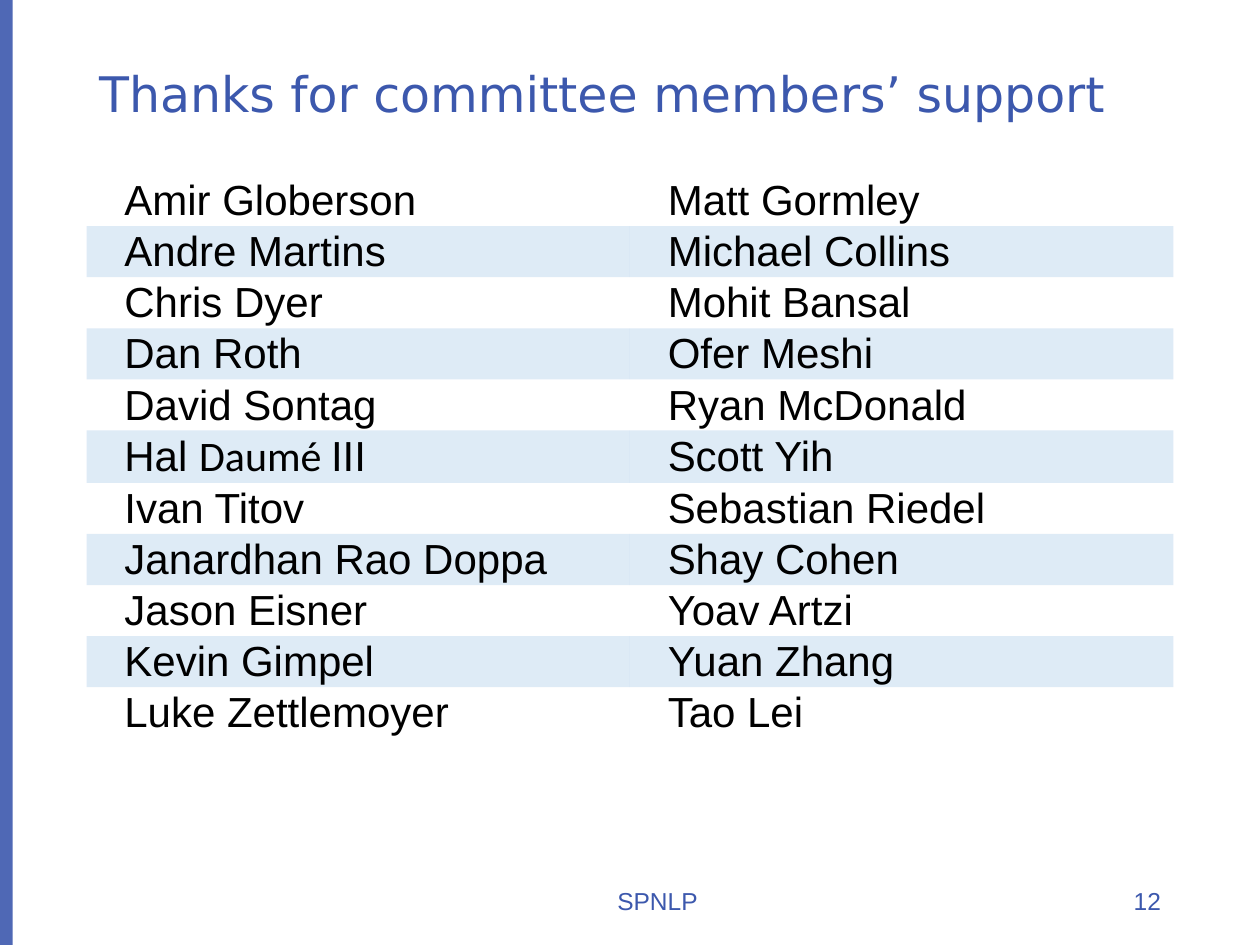
from lxml.etree import SubElement
from pptx import Presentation
from pptx.dml.color import RGBColor
from pptx.enum.shapes import MSO_SHAPE
from pptx.enum.text import MSO_ANCHOR, MSO_AUTO_SIZE, PP_ALIGN
from pptx.oxml.ns import qn
from pptx.util import Pt

NO_STYLE = "{2D5ABB26-0587-4C30-8999-92F81FD0307C}"
MEMBERS = [
    ("Amir Globerson", "Matt Gormley"),
    ("Andre Martins", "Michael Collins"),
    ("Chris Dyer", "Mohit Bansal"),
    ("Dan Roth", "Ofer Meshi"),
    ("David Sontag", "Ryan McDonald"),
    ([("Hal ", "Arial"), ("Daumé ", "Calibri"), ("III", "Arial")], "Scott Yih"),
    ("Ivan Titov", "Sebastian Riedel"),
    ("Janardhan Rao Doppa", "Shay Cohen"),
    ("Jason Eisner", "Yoav Artzi"),
    ("Kevin Gimpel", "Yuan Zhang"),
    ("Luke Zettlemoyer", "Tao Lei"),
]


def rgb(color):
    return RGBColor.from_string(color)


def apply(obj, values):
    for name, value in values.items():
        setattr(obj, name, value)


class Deck:
    blue = "3C58AD"
    band = "5B9BD5"
    black = "000000"
    font = "Arial"

    def __init__(self):
        self.prs = Presentation()
        apply(self.prs, {"slide_width": Pt(720), "slide_height": Pt(540)})
        self.s = self.prs.slides.add_slide(self.prs.slide_layouts[5])

    def place(self, sp, x, y, w, h):
        apply(sp, {"left": Pt(x), "top": Pt(y), "width": Pt(w), "height": Pt(h)})

    def run(self, p, text, size, color, font=None):
        r = p.add_run()
        r.text = text
        apply(r.font, {"name": font or self.font, "size": Pt(size)})
        r.font.color.rgb = rgb(color)

    def fill(self, target, color, opacity):
        target.fill.solid()
        target.fill.fore_color.rgb = rgb(color)
        clr = target.fill._xPr.find(".//" + qn("a:srgbClr"))
        SubElement(clr, qn("a:alpha"), val=str(opacity * 1000))

    def bar(self, x, y, w, h):
        sp = self.s.shapes.add_shape(MSO_SHAPE.RECTANGLE, Pt(x), Pt(y), Pt(w), Pt(h))
        sp.shadow.inherit = False
        sp.line.fill.background()
        self.fill(sp, self.blue, 90)

    def title(self, text, *box):
        sp = self.s.shapes.title
        self.place(sp, *box)
        tf = sp.text_frame
        apply(tf, {"vertical_anchor": MSO_ANCHOR.MIDDLE, "word_wrap": True,
                   "auto_size": MSO_AUTO_SIZE.NONE})
        p = tf.paragraphs[0]
        apply(p, {"alignment": PP_ALIGN.LEFT, "line_spacing": 0.9})
        self.run(p, text, 28, self.blue, "DejaVu Sans")

    def table(self, rows, x, y, w, row_h):
        frame = self.s.shapes.add_table(len(rows), len(rows[0]), Pt(x), Pt(y),
                                        Pt(w), Pt(row_h * len(rows)))
        table = frame.table
        apply(table, {"first_row": False, "horz_banding": False})
        table._tbl.tblPr.find(qn("a:tableStyleId")).text = NO_STYLE
        for i, names in enumerate(rows):
            table.rows[i].height = Pt(row_h)
            for j, name in enumerate(names):
                self.cell(table.cell(i, j), name, i % 2 == 1)

    def cell(self, cell, name, banded):
        apply(cell, {"margin_left": Pt(21.6), "margin_right": Pt(0.6),
                     "margin_top": Pt(0.6), "margin_bottom": Pt(0),
                     "vertical_anchor": MSO_ANCHOR.MIDDLE})
        if banded:
            self.fill(cell, self.band, 20)
        else:
            cell.fill.background()
        parts = [(name, self.font)] if isinstance(name, str) else name
        for text, font in parts:
            self.run(cell.text_frame.paragraphs[0], text, 24, self.black, font)

    def footer(self, text, align, *box):
        sp = self.s.shapes.add_textbox(*map(Pt, box))
        tf = sp.text_frame
        apply(tf, {"word_wrap": True, "vertical_anchor": MSO_ANCHOR.MIDDLE})
        p = tf.paragraphs[0]
        p.alignment = align
        self.run(p, text, 14, self.blue)


def main():
    deck = Deck()
    deck.bar(0, 0, 7.2, 540)
    deck.title("Thanks for committee members’ support", 49.5, 28.8, 621, 53.3)
    deck.table(MEMBERS, 49.5, 100, 621, 29.2)
    deck.footer("SPNLP", PP_ALIGN.CENTER, 238.5, 500.5, 274.5, 28.8)
    deck.footer("12", PP_ALIGN.RIGHT, 565.5, 500.5, 105, 28.8)
    deck.prs.save("out.pptx")


if __name__ == "__main__":
    main()
